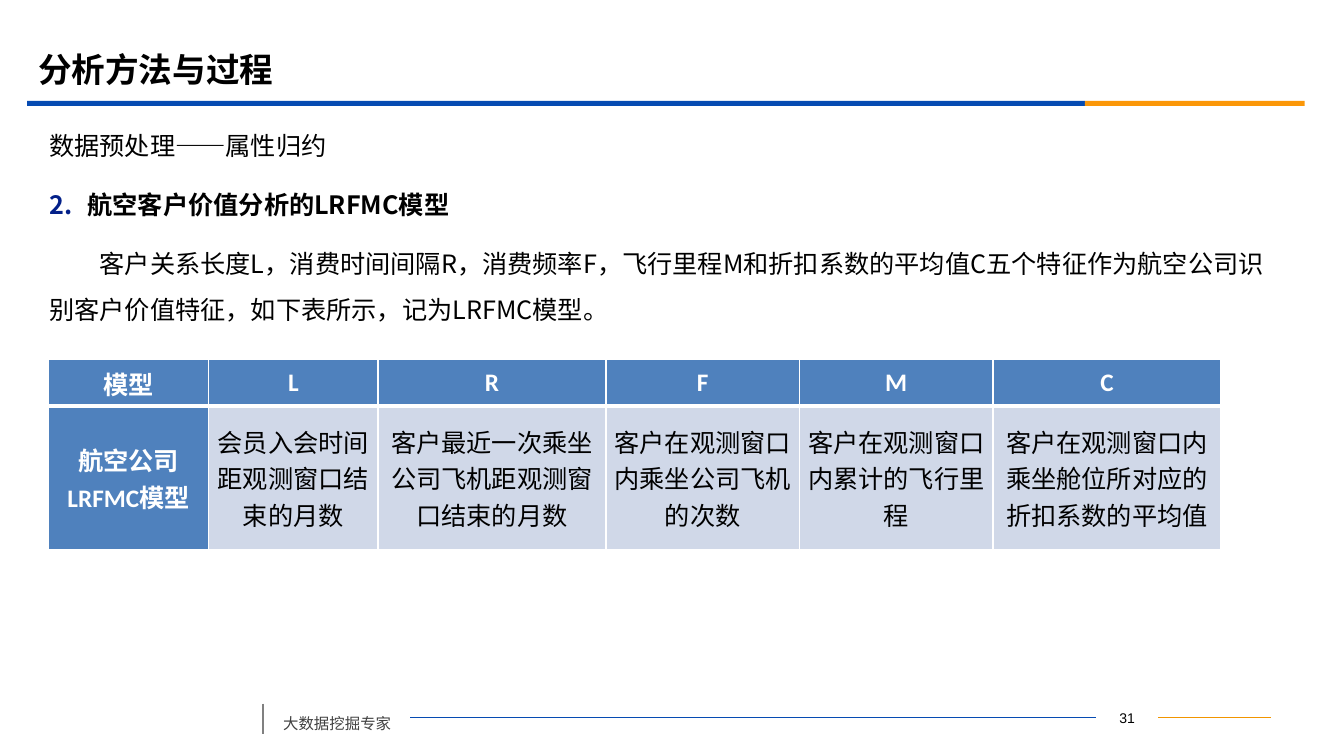
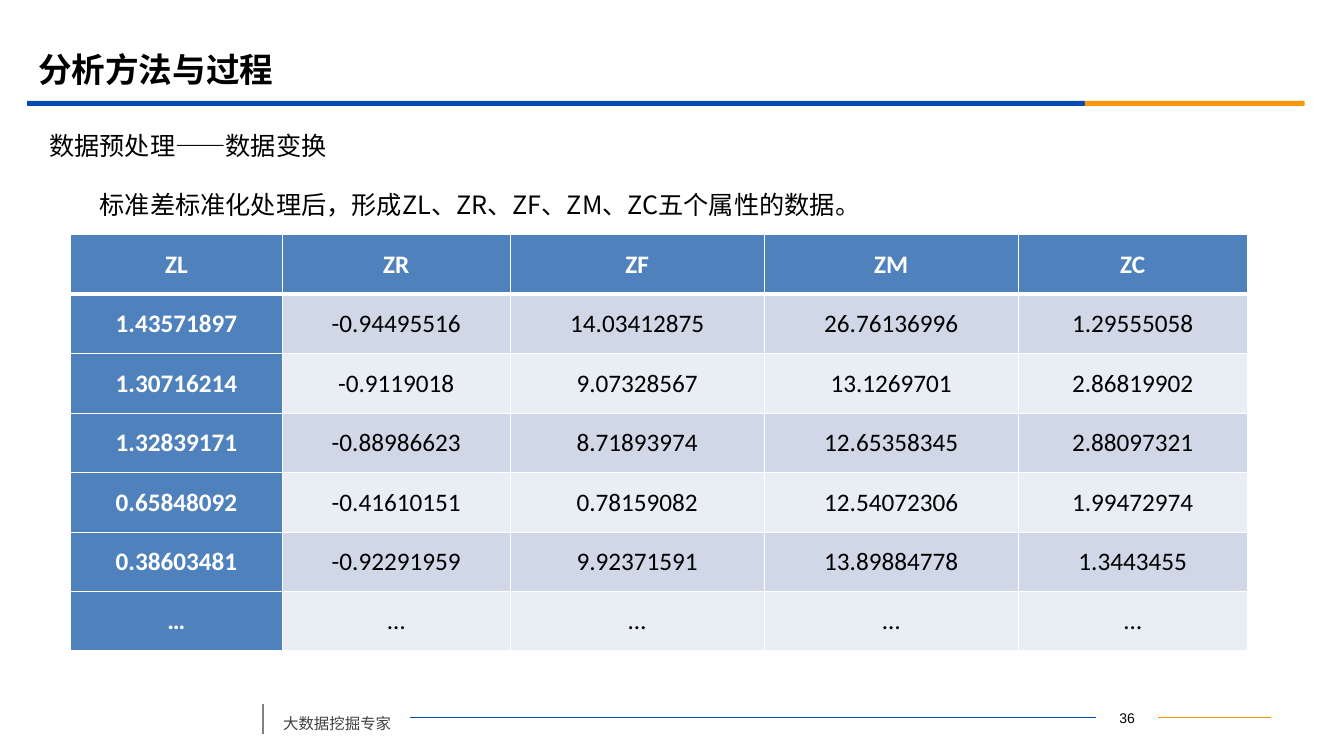
import lxml.etree
import pptx
import pptx.dml.color
import pptx.enum.shapes
import pptx.enum.text
import pptx.oxml.ns
import pptx.util

Inches = pptx.util.Inches
Pt = pptx.util.Pt
qn = pptx.oxml.ns.qn
CENTER = pptx.enum.text.PP_ALIGN.CENTER
MIDDLE = pptx.enum.text.MSO_ANCHOR.MIDDLE


def color(value):
    return pptx.dml.color.RGBColor.from_string(value)


def add_solid(parent, value):
    fill = lxml.etree.SubElement(parent, qn("a:solidFill"))
    lxml.etree.SubElement(fill, qn("a:srgbClr"), val=value)


class LessonDeck:
    HAN = "Noto Sans CJK SC"
    BLACK, WHITE = "000000", "FFFFFF"
    BLUE, ORANGE, NUMBER = "064BB2", "FB9708", "032089"
    HEAD, BANDS = "4F81BD", ("D0D8E8", "E9EDF4")

    def __init__(self):
        self.deck = pptx.Presentation()
        self.deck.slide_width = Inches(13.33)
        self.deck.slide_height = Inches(7.5)
        self.slide = None

    def add_page(self, title, number):
        self.slide = self.deck.slides.add_slide(self.deck.slide_layouts[6])
        self.line(11.49, 7.12, 12.61, 7.12, "F19500", 0.75)
        self.line(4.07, 7.12, 10.87, 7.12, self.BLUE, 0.75)
        self.line(2.61, 6.98, 2.61, 7.28, "808080", 1.25)
        self.band(0.27, 10.49, self.BLUE)
        self.band(10.76, 2.18, self.ORANGE)

        page_number = self.box(10.87, 6.99, 0.62, 0.25).paragraphs[0]
        page_number.alignment = CENTER
        self.span(page_number, number, 10, font="Arial")

        footer = self.box(2.71, 6.94, 1.36, 0.38).paragraphs[0]
        footer.line_spacing = 1.5
        footer.space_before = Pt(6)
        self.span(footer, "大数据挖掘专家", 11, "404040")

        heading = self.box(0.28, 0.39, 12, 0.58)
        heading.vertical_anchor = MIDDLE
        self.span(heading.paragraphs[0], title, 24, bold=True)

    def line(self, left, top, right, bottom, value, width):
        line = self.slide.shapes.add_connector(
            pptx.enum.shapes.MSO_CONNECTOR.STRAIGHT,
            Inches(left), Inches(top), Inches(right), Inches(bottom))
        line.line.color.rgb = color(value)
        line.line.width = Pt(width)
        lxml.etree.SubElement(line.element.spPr, qn("a:effectLst"))

    def band(self, left, width, value):
        band = self.slide.shapes.add_shape(
            pptx.enum.shapes.MSO_SHAPE.RECTANGLE,
            Inches(left), Inches(1), Inches(width), Inches(0.05))
        band.shadow.inherit = False
        band.fill.solid()
        band.fill.fore_color.rgb = color(value)
        band.line.fill.background()

    def box(self, left, top, width, height):
        box = self.slide.shapes.add_textbox(
            Inches(left), Inches(top), Inches(width), Inches(height))
        box.text_frame.word_wrap = True
        return box.text_frame

    def span(self, para, text, size=18, value=BLACK, bold=False, font=HAN):
        span = para.add_run()
        span.text = text
        span.font.size = Pt(size)
        span.font.bold = bold
        span.font.name = font
        span.font.color.rgb = color(value)
        east_asian = lxml.etree.SubElement(span.font._element, qn("a:ea"))
        east_asian.set("typeface", self.HAN)

    def body(self, topic, text, numbered_heading=None):
        frame = self.box(0.39, 1.09, 12.35, 5.76)
        self.body_para(frame.paragraphs[0], topic)
        if numbered_heading:
            para = frame.add_paragraph()
            self.body_para(para, numbered_heading, 0.38, -0.38, True)
            self.number(para, 2)
        self.body_para(frame.add_paragraph(), text, 0, 0.5)

    def body_para(self, para, text, margin=0, indent=0, bold=False):
        para.line_spacing = 1.5
        para.space_before = Pt(10)
        properties = para._p.get_or_add_pPr()
        properties.set("marL", str(Inches(margin)))
        properties.set("indent", str(Inches(indent)))
        self.span(para, text, bold=bold)

    def number(self, para, start):
        properties = para._p.get_or_add_pPr()
        bullet_color = lxml.etree.SubElement(properties, qn("a:buClr"))
        lxml.etree.SubElement(bullet_color, qn("a:srgbClr"), val=self.NUMBER)
        lxml.etree.SubElement(properties, qn("a:buAutoNum"),
                              type="arabicPeriod", startAt=str(start))

    def table(self, left, top, widths, heights, rows, inset):
        table = self.slide.shapes.add_table(
            len(rows), len(widths), Inches(left), Inches(top),
            Inches(sum(widths)), Inches(sum(heights))).table
        table.first_row = False
        table.horz_banding = False
        for column, width in zip(table.columns, widths):
            column.width = Inches(width)
        for row, height in zip(table.rows, heights):
            row.height = Inches(height)
        for row_index, texts in enumerate(rows):
            for column_index, text in enumerate(texts):
                is_head = row_index == 0 or column_index == 0
                self.cell(table.cell(row_index, column_index), text, inset,
                          self.HEAD if is_head else self.BANDS[(row_index - 1) % 2],
                          is_head, 3 if row_index == 0 else 1)

    def cell(self, cell, text, inset, fill, is_head, bottom_width):
        cell.margin_left = cell.margin_right = Inches(inset)
        cell.margin_top = cell.margin_bottom = 0
        cell.vertical_anchor = MIDDLE
        properties = cell._tc.get_or_add_tcPr()
        for side, width in zip("LRTB", (1, 1, 1, bottom_width)):
            border = lxml.etree.SubElement(properties, qn("a:ln" + side), w=str(Pt(width)))
            add_solid(border, self.WHITE)
        cell.fill.solid()
        cell.fill.fore_color.rgb = color(fill)
        para = cell.text_frame.paragraphs[0]
        para.alignment = CENTER
        self.span(para, text, value=self.WHITE if is_head else self.BLACK,
                  bold=is_head, font="Calibri")


def main():
    lesson = LessonDeck()
    title = "分析方法与过程"

    lesson.add_page(title, "31")
    lesson.body(
        "数据预处理——属性归约",
        "客户关系长度L，消费时间间隔R，消费频率F，飞行里程M和折扣系数的平均值C"
        "五个特征作为航空公司识别客户价值特征，如下表所示，记为LRFMC模型。",
        "航空客户价值分析的LRFMC模型")
    lesson.table(0.48, 3.57, (1.59, 1.68, 2.26, 1.92, 1.92, 2.26), (0.46, 1.42), (
        ("模型", "L", "R", "F", "M", "C"),
        ("航空公司LRFMC模型",
         "会员入会时间距观测窗口结束的月数",
         "客户最近一次乘坐公司飞机距观测窗口结束的月数",
         "客户在观测窗口内乘坐公司飞机的次数",
         "客户在观测窗口内累计的飞行里程",
         "客户在观测窗口内乘坐舱位所对应的折扣系数的平均值"),
    ), 0.06)

    lesson.add_page(title, "36")
    lesson.body("数据预处理——数据变换",
                "标准差标准化处理后，形成ZL、ZR、ZF、ZM、ZC五个属性的数据。")
    scores = (
        ("ZL", "ZR", "ZF", "ZM", "ZC"),
        ("1.43571897", "-0.94495516", "14.03412875", "26.76136996", "1.29555058"),
        ("1.30716214", "-0.9119018", "9.07328567", "13.1269701", "2.86819902"),
        ("1.32839171", "-0.88986623", "8.71893974", "12.65358345", "2.88097321"),
        ("0.65848092", "-0.41610151", "0.78159082", "12.54072306", "1.99472974"),
        ("0.38603481", "-0.92291959", "9.92371591", "13.89884778", "1.3443455"),
        ("…",) * 5,
    )
    lesson.table(0.7, 2.33, (2.1, 2.26, 2.52, 2.52, 2.27),
                 (0.59,) * len(scores), scores, 0.07)

    lesson.deck.save("out.pptx")


if __name__ == "__main__":
    main()
